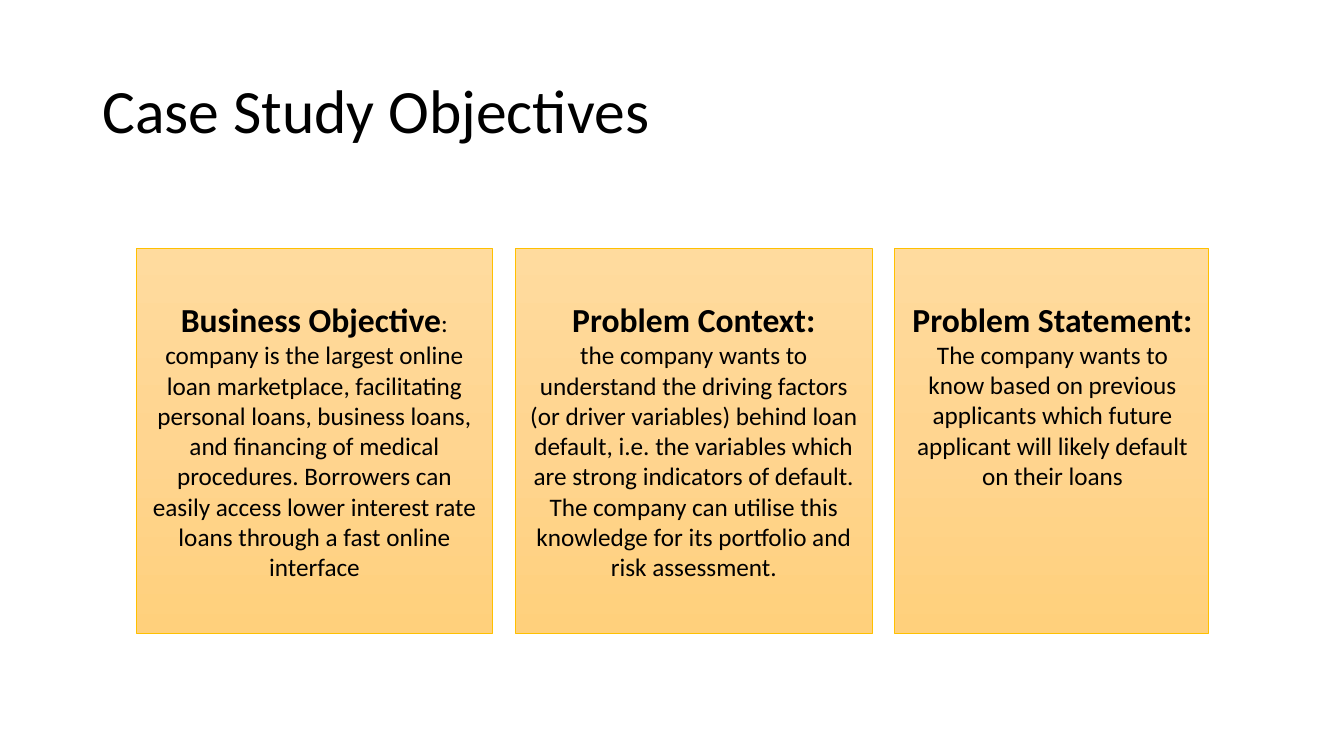
from copy import deepcopy

from pptx import Presentation
from pptx.dml.color import RGBColor
from pptx.enum.shapes import MSO_SHAPE
from pptx.enum.text import MSO_ANCHOR, PP_ALIGN
from pptx.oxml.ns import qn
from pptx.util import Cm, Pt

FONT = "Calibri"
SHADES = ["FFDB9E", "FFD590", "FFD07C"]
GAP = 0.57

# Heading, text after the heading, body, width, insets (left, top, right, bottom)
CARDS = [
    ("Business Objective", ":",
     "company is the largest online loan marketplace, facilitating personal "
     "loans, business loans, and financing of medical procedures. Borrowers "
     "can easily access lower interest rate loans through a fast online "
     "interface", 8.99, (0.25, 0.13, 0.25, 0.13)),
    ("Problem Context:", "",
     "the company wants to understand the driving factors (or driver "
     "variables) behind loan default, i.e. the variables which are strong "
     "indicators of default. The company can utilise this knowledge for its "
     "portfolio and risk assessment.", 8.99, (0.25, 0, 0.25, 0)),
    ("Problem Statement:", "",
     "The company wants to know based on previous applicants which future "
     "applicant will likely default on their loans",
     7.9, (0.3, 0, 0.25, 2.31)),
]


def color(code):
    return RGBColor.from_string(code)


def style(run, size, bold=False):
    run.font.name = FONT
    run.font.size = Pt(size)
    run.font.bold = bold
    run.font.color.rgb = color("000000")


def shade(shape):
    """Fill from top to bottom with evenly spaced stops."""
    shape.fill.gradient()
    shape.fill.gradient_angle = 270
    stops = shape._element.spPr.find(qn("a:gradFill")).find(qn("a:gsLst"))
    stops.insert(1, deepcopy(stops[0]))
    for i, stop in enumerate(shape.fill.gradient_stops):
        stop.position = i / 2
        stop.color.rgb = color(SHADES[i])


def add_title(slide, left, top, width, height):
    frame = slide.shapes.add_textbox(
        Cm(left), Cm(top), Cm(width), Cm(height)).text_frame
    frame.word_wrap = True
    frame.vertical_anchor = MSO_ANCHOR.MIDDLE
    frame.text = "Case Study Objectives"
    para = frame.paragraphs[0]
    para.line_spacing = 0.9
    style(para.runs[0], 44)


def add_card(slide, left, top, width, height, head, tail, body, inset):
    card = slide.shapes.add_shape(
        MSO_SHAPE.RECTANGLE, Cm(left), Cm(top), Cm(width), Cm(height))
    card.shadow.inherit = False
    shade(card)
    card.line.color.rgb = color("FFC000")
    card.line.width = Pt(0.5)

    # Text area
    frame = card.text_frame
    frame.word_wrap = True
    frame.vertical_anchor = MSO_ANCHOR.MIDDLE
    (frame.margin_left, frame.margin_top,
     frame.margin_right, frame.margin_bottom) = map(Cm, inset)

    # Heading and body
    frame.text = f"{head}\n{body}"
    first, second = frame.paragraphs
    style(first.runs[0], 24, True)
    style(second.runs[0], 18)
    if tail:
        run = first.add_run()
        run.text = tail
        style(run, 18)
    for para in frame.paragraphs:
        para.alignment = PP_ALIGN.CENTER


def add_cards(slide, left, top, height):
    for head, tail, body, width, inset in CARDS:
        add_card(slide, left, top, width, height, head, tail, body, inset)
        left += width + GAP


def main():
    deck = Presentation()
    deck.slide_width, deck.slide_height = Cm(33.87), Cm(19.05)
    slide = deck.slides.add_slide(deck.slide_layouts[6])
    add_title(slide, 2.33, 1.01, 29.21, 3.68)
    add_cards(slide, 3.43, 6.25, 9.7)
    deck.save("out.pptx")


if __name__ == "__main__":
    main()
